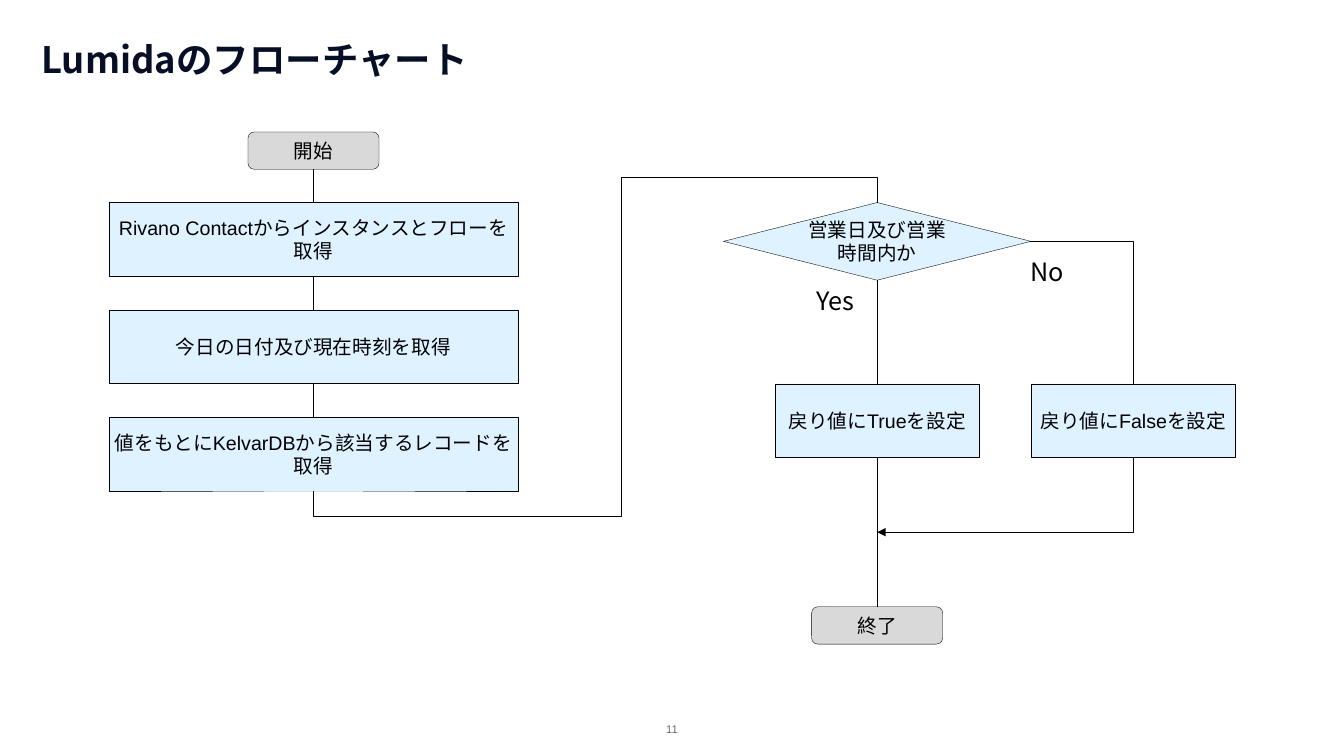
from math import cos, radians, sin

from lxml.etree import SubElement
from pptx import Presentation
from pptx.dml.color import RGBColor
from pptx.enum.shapes import MSO_CONNECTOR, MSO_SHAPE
from pptx.enum.text import MSO_ANCHOR, MSO_AUTO_SIZE, PP_ALIGN
from pptx.oxml.ns import qn
from pptx.util import Inches, Pt

COLORS = {"title": "070F26", "ink": "000000", "step": "DFF2FF",
          "terminal": "D9D9D9", "number": "6B6B6B"}
BODY_FONT, DISPLAY_FONT = "Arial", "Noto Sans CJK JP"
TOP, BOTTOM = 0, 2


class FlowchartSlide:
    """Draw flowchart elements in one style on one slide."""

    def __init__(self, presentation):
        self.slide = presentation.slides.add_slide(presentation.slide_layouts[5])
        self.shapes = self.slide.shapes

    def set_text(self, shape, text, size, font=BODY_FONT, color="ink", bold=False,
                 align=PP_ALIGN.CENTER, anchor=MSO_ANCHOR.MIDDLE, inset=(0, 0)):
        frame = shape.text_frame
        frame.text = text
        frame.word_wrap = True
        frame.auto_size = MSO_AUTO_SIZE.NONE
        frame.vertical_anchor = anchor
        frame.margin_left = frame.margin_right = Inches(inset[0])
        frame.margin_top = frame.margin_bottom = Inches(inset[1])
        paragraph = frame.paragraphs[0]
        paragraph.alignment = align
        paragraph.font.size = Pt(size)
        paragraph.font.bold = bold
        paragraph.font.color.rgb = RGBColor.from_string(COLORS[color])
        paragraph.font.name = font
        properties = paragraph._p.pPr.find(qn("a:defRPr"))
        SubElement(properties, qn("a:ea")).set("typeface", DISPLAY_FONT)

    def title(self, text, left, top, width, height):
        title = self.shapes.title
        title.left, title.top = Inches(left), Inches(top)
        title.width, title.height = Inches(width), Inches(height)
        self.set_text(title, text, 26, DISPLAY_FONT, "title", True, PP_ALIGN.LEFT)

    def label(self, text, left, top, width, height, size=18, **style):
        box = self.shapes.add_textbox(Inches(left), Inches(top),
                                      Inches(width), Inches(height))
        self.set_text(box, text, size, **style)

    def node(self, text, center, top, width, height,
             kind=MSO_SHAPE.RECTANGLE, fill="step"):
        shape = self.shapes.add_shape(kind, Inches(center - width / 2), Inches(top),
                                      Inches(width), Inches(height))
        shape.shadow.inherit = False
        shape.fill.solid()
        shape.fill.fore_color.rgb = RGBColor.from_string(COLORS[fill])
        self.outline(shape)
        self.set_text(shape, text, 14, inset=(0.04, 0.04))
        return shape

    def terminal(self, text, center, top):
        return self.node(text, center, top, 1.3, 0.37,
                         MSO_SHAPE.ROUNDED_RECTANGLE, "terminal")

    def outline(self, shape):
        shape.line.color.rgb = RGBColor.from_string(COLORS["ink"])
        shape.line.width = Pt(0.25)

    def connector(self, kind, begin, end):
        connector = self.shapes.add_connector(kind, *map(Inches, (*begin, *end)))
        self.outline(connector)
        SubElement(connector._element.spPr, qn("a:effectLst"))
        return connector

    def link(self, upper, lower):
        connector = self.connector(MSO_CONNECTOR.STRAIGHT, (0, 0), (0, 0))
        connector.begin_connect(upper, BOTTOM)
        connector.end_connect(lower, TOP)

    def elbow(self, begin, end, preset, rotation=0, adjustments=(), arrow=False):
        middle = [(a + b) / 2 for a, b in zip(begin, end)]
        cosine, sine = cos(radians(rotation)), sin(radians(rotation))

        def unrotate(point):
            x, y = point[0] - middle[0], point[1] - middle[1]
            return (middle[0] + x * cosine + y * sine,
                    middle[1] - x * sine + y * cosine)

        connector = self.connector(MSO_CONNECTOR.ELBOW, unrotate(begin), unrotate(end))
        properties = connector._element.spPr
        properties.find(qn("a:xfrm")).set("rot", str(rotation * 60000))
        geometry = properties.find(qn("a:prstGeom"))
        geometry.set("prst", preset)
        for number, value in enumerate(adjustments, 1):
            guide = SubElement(geometry.find(qn("a:avLst")), qn("a:gd"))
            guide.set("name", f"adj{number}")
            guide.set("fmla", f"val {value}")
        if arrow:
            SubElement(properties.find(qn("a:ln")), qn("a:tailEnd")).set("type", "triangle")


def main():
    presentation = Presentation()
    presentation.slide_width, presentation.slide_height = Inches(13.33), Inches(7.5)
    chart = FlowchartSlide(presentation)
    chart.title("Lumidaのフローチャート", 0.41, 0.37, 12.52, 0.43)
    chart.label("11", 6.5, 7.18, 0.33, 0.1, 8, color="number")

    left, middle, right = 3.11, 8.7, 11.24
    step_height, step_top, step_pitch = 0.73, 2.01, 1.065
    result_top, result_width = 3.81, 2.03
    result_bottom = result_top + step_height

    steps = ["Rivano Contactからインスタンスとフローを取得",
             "今日の日付及び現在時刻を取得",
             "値をもとにKelvarDBから該当するレコードを取得"]
    column = [chart.terminal("開始", left, 1.31)]
    for row, text in enumerate(steps):
        column.append(chart.node(text, left, step_top + row * step_pitch,
                                 4.06, step_height))
    decision = chart.node("営業日及び営業時間内か", middle, step_top, 3.05, 0.77,
                          MSO_SHAPE.DIAMOND)
    true_result, _ = [
        chart.node(f"戻り値に{value}を設定", center, result_top, result_width, step_height)
        for value, center in (("True", middle), ("False", right))]
    finish = chart.terminal("終了", middle, 6.02)

    for upper, lower in [*zip(column, column[1:]),
                         (decision, true_result), (true_result, finish)]:
        chart.link(upper, lower)
    chart.elbow((middle, step_top), (left, 4.87), "bentConnector5", 270,
                (-8700, 45500, 108700))
    chart.elbow((10.22, 2.39), (right, result_top), "bentConnector2")
    chart.elbow((right, result_bottom), (middle, 5.28), "bentConnector2", 90, arrow=True)

    for answer, label_left, label_top in (("No", 10.22, 2.49), ("Yes", 8.1, 2.78)):
        chart.label(answer, label_left, label_top, 0.49, 0.29, font=DISPLAY_FONT,
                    align=PP_ALIGN.LEFT, anchor=MSO_ANCHOR.TOP, inset=(0, 0.05))
    presentation.save("out.pptx")


if __name__ == "__main__":
    main()
